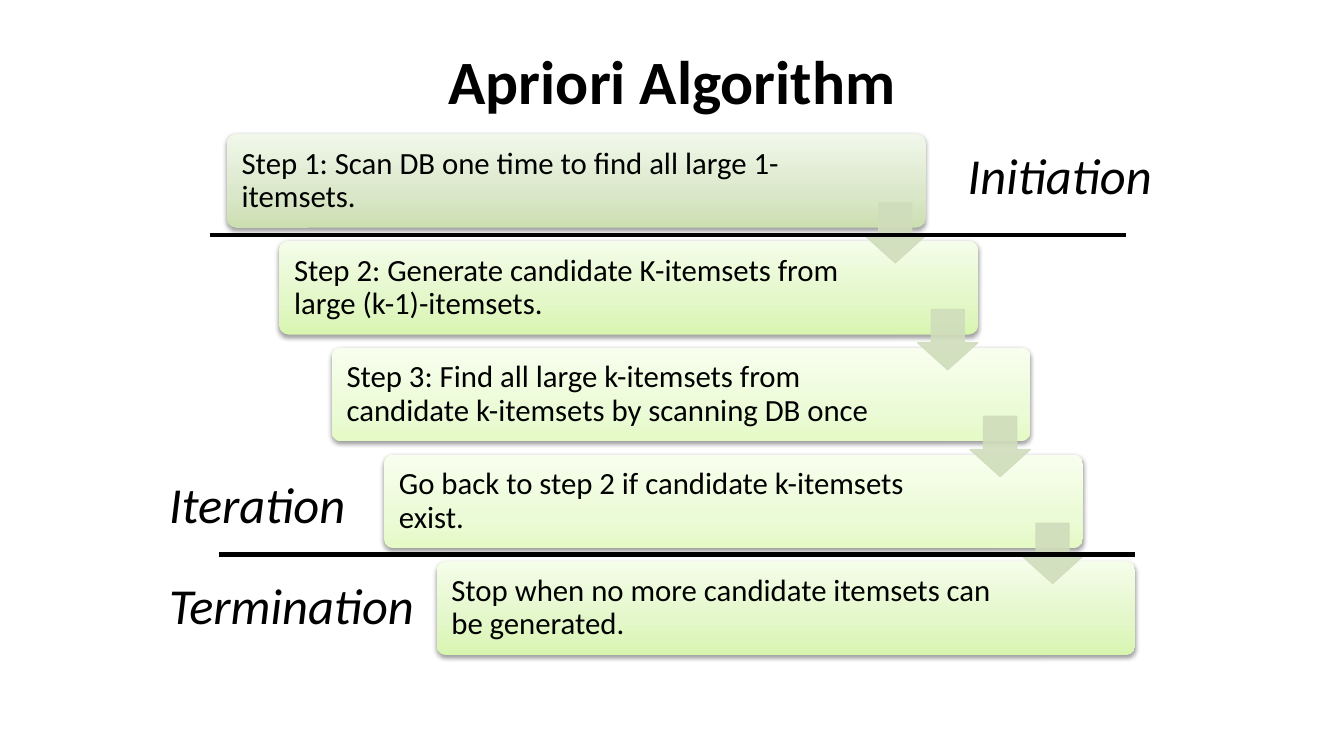
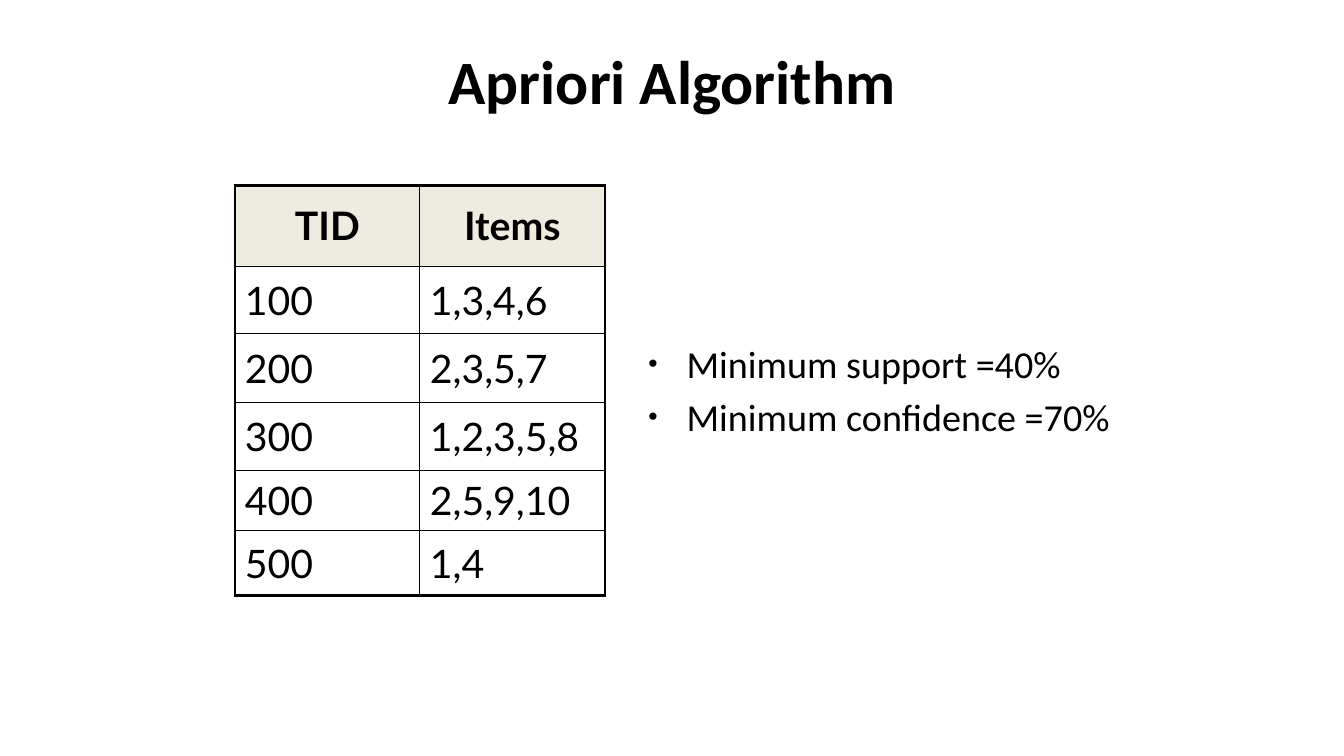
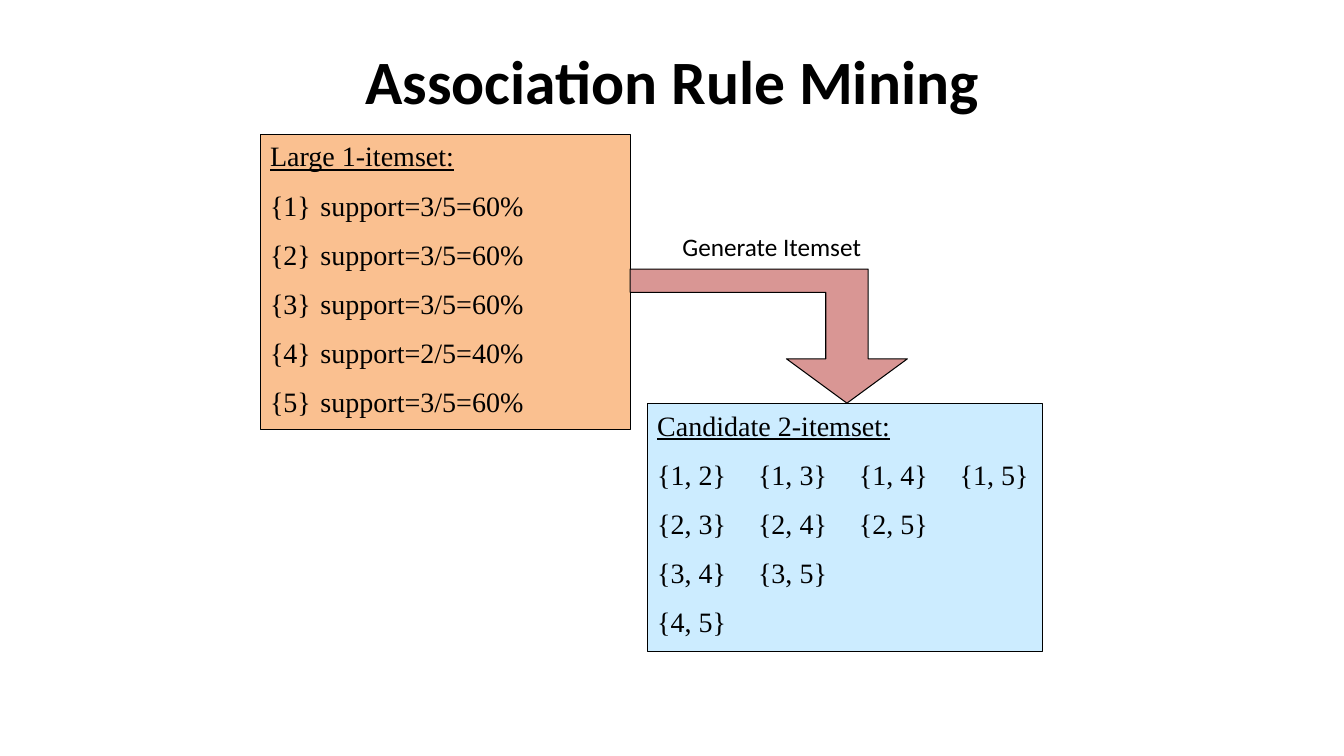
import copy
from dataclasses import dataclass

import lxml.etree
import pptx
import pptx.dml.color
import pptx.enum.shapes
import pptx.enum.text
import pptx.oxml
import pptx.oxml.ns
import pptx.util

Inches = pptx.util.Inches
Pt = pptx.util.Pt
Rgb = pptx.dml.color.RGBColor.from_string
qn = pptx.oxml.ns.qn
Shape = pptx.enum.shapes.MSO_SHAPE
Align = pptx.enum.text.PP_ALIGN
Anchor = pptx.enum.text.MSO_ANCHOR
Fit = pptx.enum.text.MSO_AUTO_SIZE


@dataclass(frozen=True)
class Theme:
    font: str = "Calibri"
    serif: str = "Times New Roman"
    grid: str = "Lato"
    ink: str = "000000"
    head: str = "EEECE1"
    sage: tuple = ("CCDFB1", "DAE7C9", "F1F7EA")
    lime: tuple = ("D8F5B0", "E3F7C8", "F4FDE9")
    pale: tuple = ("E5FAC6", "ECFBD7", "F8FEEE")
    arrow: str = "D0DDBC"
    peach: str = "FAC090"
    sky: str = "CCECFF"
    rose: str = "D99694"
    title: float = 44
    phase: float = 36
    cell: float = 28
    list: float = 27.2
    step: float = 22
    sets: float = 20
    note: float = 18


T = Theme()

STEPS = [
    ("Step 1: Scan DB one time to find all large 1-itemsets.", T.sage),
    ("Step 2: Generate candidate K-itemsets from large (k-1)-itemsets.", T.lime),
    ("Step 3: Find all large k-itemsets from candidate k-itemsets by scanning DB once", T.pale),
    ("Go back to step 2 if candidate k-itemsets exist.", T.pale),
    ("Stop when no more candidate itemsets can be generated.", T.lime),
]
RULES = [(2.08, 2.33), (2.17, 5.5)]
PHASES = [
    ("Initiation", 9.5, 1.38, 2.17),
    ("Iteration", 1.58, 4.64, 2.17),
    ("Termination", 1.58, 5.65, 2.67),
]
ROWS = [
    ("TID", "Items", 0.8),
    ("100", "1,3,4,6", 0.67),
    ("200", "2,3,5,7", 0.68),
    ("300", "1,2,3,5,8", 0.68),
    ("400", "2,5,9,10", 0.59),
    ("500", "1,4", 0.65),
]
LIMITS = ["Minimum support =40%", "Minimum confidence =70%"]
SETS = [
    ((2.58, 1.33, 3.67, 2.93), T.peach, [
        "Large 1-itemset:",
        "{1}\tsupport=3/5=60%",
        "{2}\tsupport=3/5=60%",
        "{3}\tsupport=3/5=60%",
        "{4}\tsupport=2/5=40%",
        "{5}\tsupport=3/5=60%",
    ]),
    ((6.42, 4, 3.92, 2.46), T.sky, [
        "Candidate 2-itemset:",
        "{1, 2}\t{1, 3}\t{1, 4}\t{1, 5}",
        "{2, 3}\t{2, 4}\t{2, 5}",
        "{3, 4}\t{3, 5}",
        "{4, 5}",
    ]),
]
BEND = [(8.4, 4), (7.8, 3.56), (8.19, 3.56), (8.19, 2.9), (6.25, 2.9),
        (6.25, 2.67), (8.61, 2.67), (8.61, 3.56), (9, 3.56)]


def place(*lengths):
    return [Inches(n) for n in lengths]


def style(frame, size, font=T.font, bold=False, italic=False, align=Align.LEFT):
    for para in frame.paragraphs:
        para.alignment = align
        for run in para.runs:
            run.font.name, run.font.size = font, Pt(size)
            run.font.bold, run.font.italic = bold, italic
            run.font.color.rgb = Rgb(T.ink)


def space(frame, gap):
    for para in frame.paragraphs[1:]:
        para.space_before = Pt(gap)


def move(holder, *box):
    holder.left, holder.top, holder.width, holder.height = place(*box)
    holder.text_frame.auto_size = Fit.NONE


def start(deck, layout, title):
    slide = deck.slides.add_slide(deck.slide_layouts[layout])
    head = slide.shapes.title
    head.text_frame.text = title
    move(head, 2.17, 0.17, 9, 1.25)
    head.text_frame.vertical_anchor = Anchor.MIDDLE
    style(head.text_frame, T.title, bold=True, align=Align.CENTER)
    return slide


def label(slide, text, box, size, wrap=True, italic=False):
    frame = slide.shapes.add_textbox(*place(*box)).text_frame
    frame.word_wrap = wrap
    frame.text = text
    style(frame, size, italic=italic)


def paint(shape, fill, line):
    shape.shadow.inherit = False
    shape.fill.solid()
    shape.fill.fore_color.rgb = Rgb(fill)
    shape.line.color.rgb = Rgb(line)
    shape.line.width = Pt(0.75)


def shade(shape, tones):
    """Fill with three tones, the first at the bottom."""
    shape.fill.gradient()
    stops = shape._element.spPr.find(".//" + qn("a:gsLst"))
    stops.append(copy.deepcopy(stops[0]))
    for stop, tone, spot in zip(shape.fill.gradient_stops, tones, (0, 0.35, 1)):
        stop.color.rgb = Rgb(tone)
        stop.position = spot
    shape.fill.gradient_angle = 90
    shape.line.fill.background()


def drop(shape):
    """Cast a soft shadow straight down."""
    shape.shadow.inherit = False
    effects = shape._element.spPr.find(qn("a:effectLst"))
    cast = lxml.etree.SubElement(effects, qn("a:outerShdw"), blurRad=str(Pt(3.1)),
                                 dist=str(Pt(1.6)), dir="5400000", rotWithShape="0")
    tone = lxml.etree.SubElement(cast, qn("a:srgbClr"), val=T.ink)
    lxml.etree.SubElement(tone, qn("a:alpha"), val="38000")


def border(cell, sides):
    props = cell._tc.get_or_add_tcPr()
    for spot, (side, width) in enumerate(sides.items()):
        line = pptx.oxml.parse_xml(
            f'<a:ln{side} {pptx.oxml.ns.nsdecls("a")} w="{Pt(width)}"><a:solidFill>'
            f'<a:srgbClr val="{T.ink}"/></a:solidFill></a:ln{side}>')
        props.insert(spot, line)


def bullet(para):
    props = para._p.get_or_add_pPr()
    props.set("marL", str(Inches(0.38)))
    props.set("indent", str(Inches(-0.38)))
    lxml.etree.SubElement(props, qn("a:buSzPct"), val="70000")
    lxml.etree.SubElement(props, qn("a:buChar"), char="•")


def steps(deck):
    slide = start(deck, 5, "Apriori Algorithm")
    left, top, right, down = 2.25, 1.33, 0.52, 1.06
    for i, (text, tones) in enumerate(STEPS):
        box = slide.shapes.add_shape(Shape.ROUNDED_RECTANGLE, *place(
            left + i * right, top + i * down, 6.93, 0.93))
        box.adjustments[0] = 0.1
        shade(box, tones)
        drop(box)
        frame = box.text_frame
        frame.word_wrap = True
        frame.margin_left, frame.margin_right = place(0.12, 1.24)
        frame.vertical_anchor = Anchor.MIDDLE
        frame.text = text
        style(frame, T.step)
        frame.paragraphs[0].line_spacing = 0.9
    for i in range(len(STEPS) - 1):
        arrow = slide.shapes.add_shape(Shape.DOWN_ARROW, *place(
            left + 6.33 + i * right, top + 0.68 + i * down, 0.6, 0.6))
        arrow.adjustments[0], arrow.adjustments[1] = 0.55, 0.45
        paint(arrow, T.arrow, T.arrow)
        for tone in arrow._element.spPr.iter(qn("a:srgbClr")):
            lxml.etree.SubElement(tone, qn("a:alpha"), val="90000")
    for x, y in RULES:
        rule = slide.shapes.add_connector(pptx.enum.shapes.MSO_CONNECTOR.STRAIGHT,
                                          *place(x, y, x + 9.09, y))
        rule.line.color.rgb = Rgb(T.ink)
        rule.line.width = Pt(3)
        lxml.etree.SubElement(rule._element.spPr, qn("a:effectLst"))
    for text, x, y, width in PHASES:
        label(slide, text, (x, y, width, 0.71), T.phase, italic=True)


def data(deck):
    slide = start(deck, 1, "Apriori Algorithm")
    body = slide.placeholders[1]
    move(body, 6.33, 3.33, 5.17, 1.25)
    body.text_frame.text = "\n".join(LIMITS)
    for para in body.text_frame.paragraphs:
        bullet(para)
        para.space_before = Pt(0)
    space(body.text_frame, 5)
    style(body.text_frame, T.list)

    table = slide.shapes.add_table(len(ROWS), 2, *place(2.33, 1.84, 3.67, 4.07)).table
    table.first_row = table.horz_banding = False
    last = len(ROWS) - 1
    for r, (*texts, height) in enumerate(ROWS):
        table.rows[r].height = Inches(height)
        for c, text in enumerate(texts):
            cell = table.cell(r, c)
            cell.vertical_anchor = Anchor.MIDDLE
            cell.text_frame.text = text
            style(cell.text_frame, T.cell, T.grid, bold=r == 0,
                  align=Align.LEFT if r else Align.CENTER)
            if r:
                cell.fill.background()
            else:
                cell.fill.solid()
                cell.fill.fore_color.rgb = Rgb(T.head)
            edges = {"L": c == 0, "R": c == 1, "T": r == 0, "B": r == last}
            border(cell, {side: 2.25 if outer else 1 for side, outer in edges.items()})


def mining(deck):
    slide = start(deck, 5, "Association Rule Mining")
    for place_at, fill, lines in SETS:
        box = slide.shapes.add_shape(Shape.RECTANGLE, *place(*place_at))
        paint(box, fill, T.ink)
        frame = box.text_frame
        frame.word_wrap = True
        frame.vertical_anchor = Anchor.TOP
        frame.text = "\n".join(lines)
        space(frame, 11)
        style(frame, T.sets, T.serif)
        frame.paragraphs[0].runs[0].font.underline = True
    first, *rest = [place(*point) for point in BEND]
    pen = slide.shapes.build_freeform(*first)
    pen.add_line_segments(rest, close=True)
    paint(pen.convert_to_shape(), T.rose, T.ink)
    label(slide, "Generate Itemset", (6.67, 2.25, 1.99, 0.4), T.note, wrap=False)


def main():
    deck = pptx.Presentation()
    deck.slide_width, deck.slide_height = place(13.33, 7.5)
    for build in (steps, data, mining):
        build(deck)
    deck.save("out.pptx")


if __name__ == "__main__":
    main()
